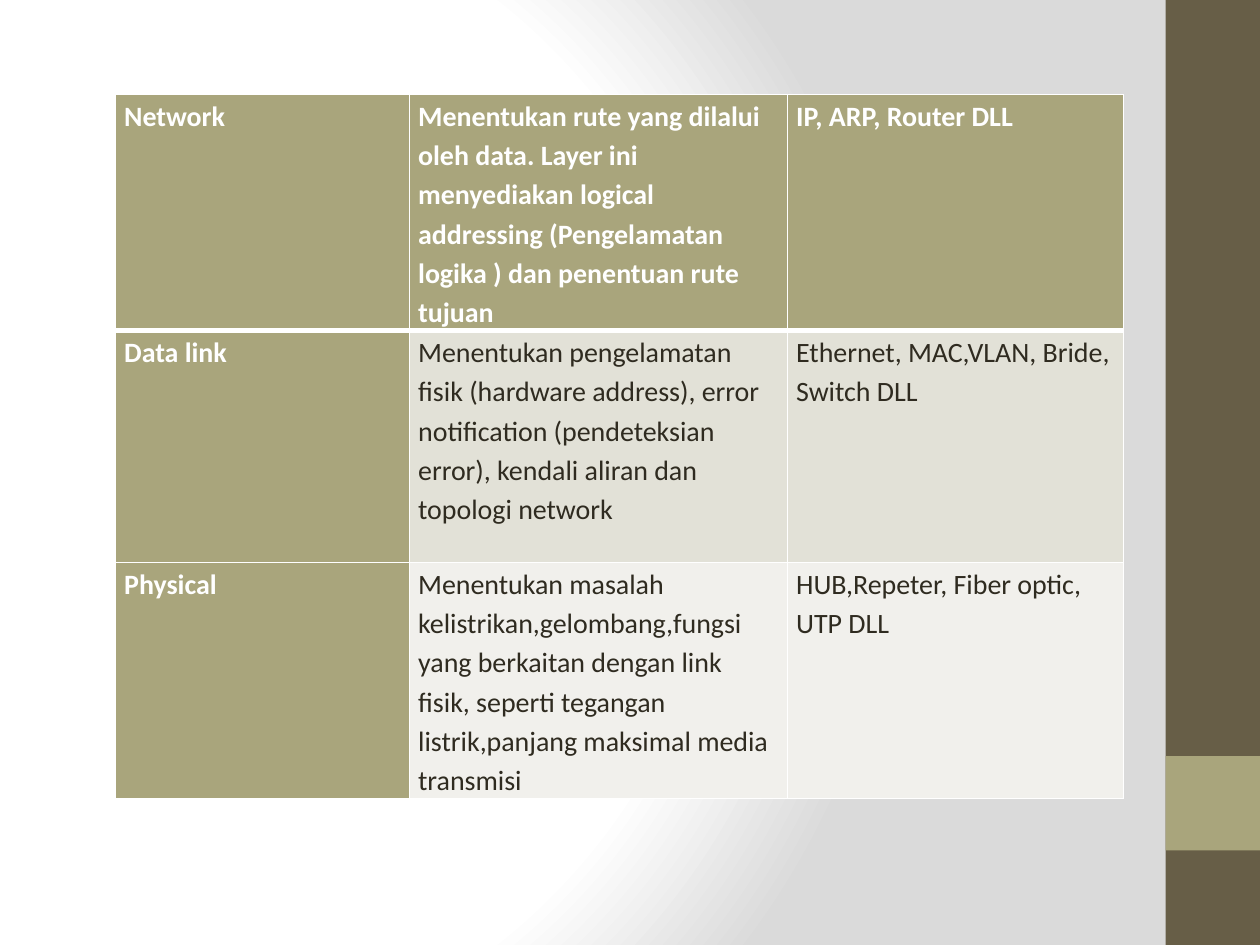
from pptx import Presentation
from pptx.dml.color import RGBColor as RGB
from pptx.enum.shapes import MSO_SHAPE as SHAPE
from pptx.oxml import parse_xml
from pptx.oxml.ns import nsdecls
from pptx.util import Pt

COLORS = {
    "white": "FFFFFF", "grey": "DADADA", "brown": "675E47", "olive": "A9A57C",
    "ink": "2F2B20", "band1": "E2E1D7", "band2": "F1F0EC",
}
ROWS = [
    ("Network",
     "Menentukan rute yang dilalui oleh data. Layer ini menyediakan logical addressing "
     "(Pengelamatan logika ) dan penentuan rute tujuan",
     "IP, ARP, Router DLL"),
    ("Data link",
     "Menentukan pengelamatan fisik (hardware address), error notification "
     "(pendeteksian error), kendali aliran dan topologi network",
     "Ethernet, MAC,VLAN, Bride, Switch DLL"),
    ("Physical",
     "Menentukan masalah kelistrikan,gelombang,fungsi yang berkaitan dengan link fisik, "
     "seperti tegangan listrik,panjang maksimal media transmisi",
     "HUB,Repeter, Fiber optic, UTP DLL"),
]
MARGINS = {"margin_left": Pt(5), "margin_right": Pt(5), "margin_top": 0, "margin_bottom": 0}


def set_border(cell, edges):
    for i, (edge, width) in enumerate(edges.items()):
        cell._tc.get_or_add_tcPr().insert(i, parse_xml(
            f'<a:ln{edge} {nsdecls("a")} w="{Pt(width)}"><a:solidFill>'
            f'<a:srgbClr val="{COLORS["white"]}"/></a:solidFill></a:ln{edge}>'))


prs = Presentation()
prs.slide_width, prs.slide_height = Pt(720), Pt(540)
s = prs.slides.add_slide(prs.slide_layouts[6])

stops = "".join(
    f'<a:gs pos="{pos * 1000}"><a:srgbClr val="{COLORS[name]}"/></a:gs>'
    for pos, name in [(0, "white"), (75, "white"), (100, "grey")])
s._element.cSld.insert(0, parse_xml(
    f'<p:bg {nsdecls("p", "a")}><p:bgPr><a:gradFill rotWithShape="1"><a:gsLst>{stops}</a:gsLst>'
    '<a:path path="circle"><a:fillToRect l="20000" t="50000" r="100000" b="50000"/></a:path>'
    '</a:gradFill><a:effectLst/></p:bgPr></p:bg>'))

for top, height, color in [(0, 540, "brown"), (432, 54, "olive")]:
    sp = s.shapes.add_shape(SHAPE.RECTANGLE, Pt(666), Pt(top), Pt(54), Pt(height))
    sp.shadow.inherit = False
    sp.fill.solid()
    sp.fill.fore_color.rgb = RGB.from_string(COLORS[color])
    sp.line.fill.background()

table = s.shapes.add_table(3, 3, Pt(66), Pt(54), Pt(576), Pt(397.5)).table
for col, width in zip(table.columns, [168, 216, 192]):
    col.width = Pt(width)
for row in table.rows:
    row.height = Pt(132.5)

for i, texts in enumerate(ROWS):
    for j, text in enumerate(texts):
        head = i == 0 or j == 0
        fill = "olive" if head else f"band{i}"
        cell = table.cell(i, j)
        for name, value in MARGINS.items():
            setattr(cell, name, value)
        cell.fill.solid()
        cell.fill.fore_color.rgb = RGB.from_string(COLORS[fill])
        set_border(cell, {"L": 1, "R": 1, "T": 3 if i == 1 else 1, "B": 3 if i == 0 else 1})
        p = cell.text_frame.paragraphs[0]
        p.line_spacing = 1.15
        r = p.add_run()
        r.text = text
        for name, value in {"name": "Calibri", "size": Pt(16), "bold": head}.items():
            setattr(r.font, name, value)
        r.font.color.rgb = RGB.from_string(COLORS["white" if head else "ink"])

prs.save("out.pptx")
